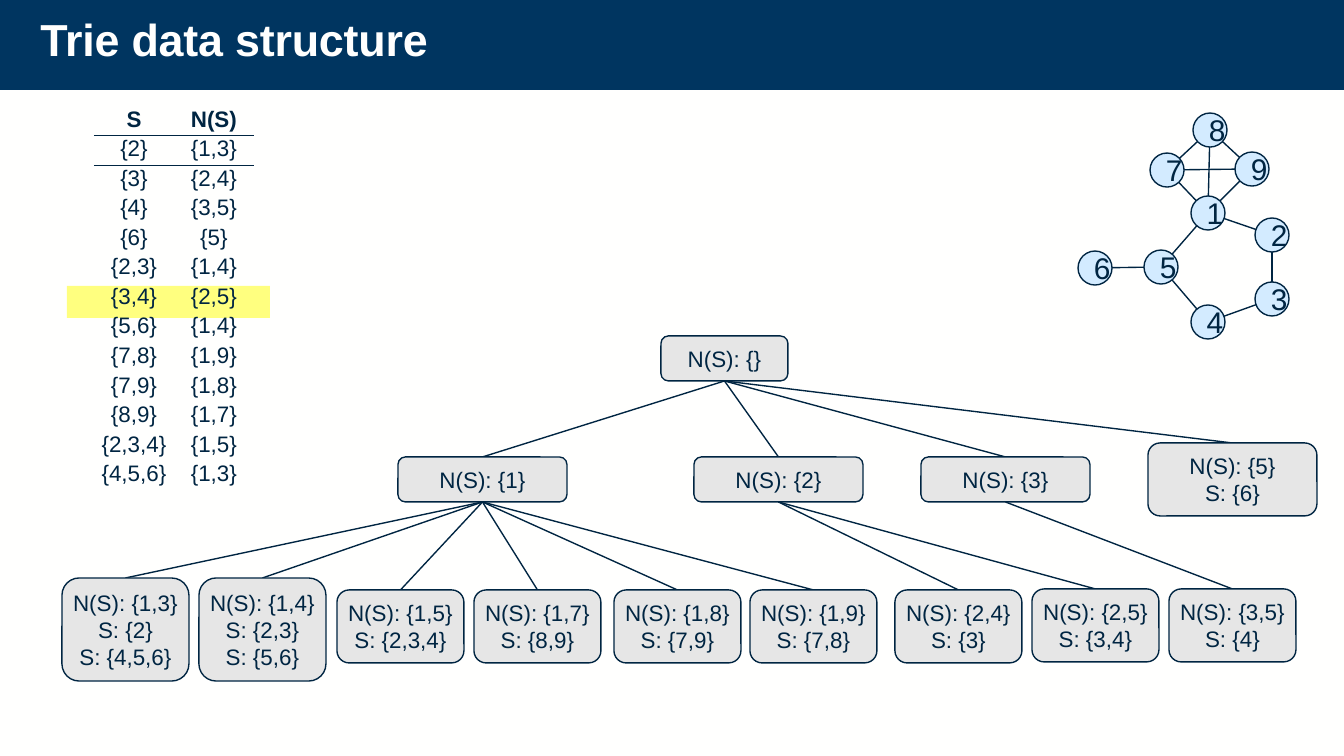
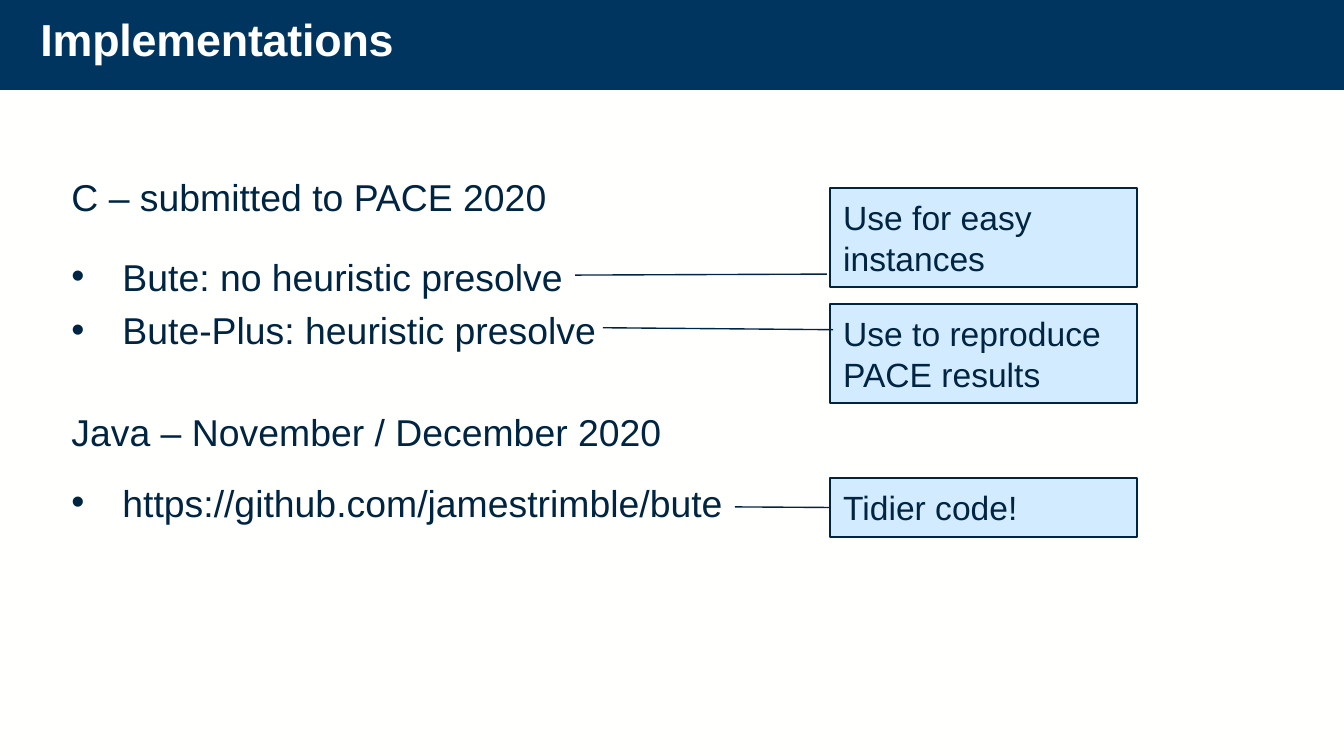
from lxml import etree
from pptx import Presentation
from pptx.dml.color import RGBColor
from pptx.enum.shapes import MSO_CONNECTOR, MSO_SHAPE
from pptx.enum.text import MSO_ANCHOR, MSO_AUTO_SIZE, PP_ALIGN
from pptx.oxml.ns import qn
from pptx.util import Emu, Pt

STRAIGHT = MSO_CONNECTOR.STRAIGHT
RECTANGLE, ROUNDED, OVAL = MSO_SHAPE.RECTANGLE, MSO_SHAPE.ROUNDED_RECTANGLE, MSO_SHAPE.OVAL
CALLOUT = MSO_SHAPE.LINE_CALLOUT_1
TOP, MIDDLE = MSO_ANCHOR.TOP, MSO_ANCHOR.MIDDLE
LEFT, CENTER = PP_ALIGN.LEFT, PP_ALIGN.CENTER
FIXED_SIZE = MSO_AUTO_SIZE.NONE

EMU_PER_PX = 914400 / 134.4
PAGE_WIDTH, PAGE_HEIGHT = 1344, 756
TITLE_ONLY, COMPARISON = 5, 4
NO_STYLE_TABLE = "{2D5ABB26-0587-4C30-8999-92F81FD0307C}"

FONT = "Arial"
INK, PAPER, NAVY = "002542", "FFFFFE", "003560"
PALE_BLUE, GREY, YELLOW = "D3EBFF", "E6E6E6", "FFFF7F"

NEIGHBOURHOODS = [
    ("S", "N(S)"), ("{2}", "{1,3}"), ("{3}", "{2,4}"), ("{4}", "{3,5}"), ("{6}", "{5}"),
    ("{2,3}", "{1,4}"), ("{3,4}", "{2,5}"), ("{5,6}", "{1,4}"), ("{7,8}", "{1,9}"),
    ("{7,9}", "{1,8}"), ("{8,9}", "{1,7}"), ("{2,3,4}", "{1,5}"), ("{4,5,6}", "{1,3}"),
]
RULES = {0: 1, 1: 0.5}  # table row: width in points of the line below it

# Tree node: left, top, width, text lines, children
LEAF, BRANCH = 127, 169
NODE_HEIGHTS = {1: 45, 2: 73, 3: 103}
TRIE = (599, 0, LEAF, ["N(S): {}"], [
    (336, 121, BRANCH, ["N(S): {1}"], [
        (0, 242, LEAF, ["N(S): {1,3}", "S: {2}", "S: {4,5,6}"], []),
        (137, 242, LEAF, ["N(S): {1,4}", "S: {2,3}", "S: {5,6}"], []),
        (275, 254, LEAF, ["N(S): {1,5}", "S: {2,3,4}"], []),
        (412, 254, LEAF, ["N(S): {1,7}", "S: {8,9}"], []),
        (552, 254, LEAF, ["N(S): {1,8}", "S: {7,9}"], []),
        (688, 254, LEAF, ["N(S): {1,9}", "S: {7,8}"], []),
    ]),
    (632, 121, BRANCH, ["N(S): {2}"], [
        (833, 254, LEAF, ["N(S): {2,4}", "S: {3}"], []),
        (970, 253, LEAF, ["N(S): {2,5}", "S: {3,4}"], []),
    ]),
    (859, 121, BRANCH, ["N(S): {3}"], [
        (1107, 253, LEAF, ["N(S): {3,5}", "S: {4}"], []),
    ]),
    (1086, 107, BRANCH, ["N(S): {5}", "S: {6}"], []),
])

VERTEX_SIZE = 34
VERTICES = {
    1: (130, 100), 2: (194, 122), 3: (194, 186), 4: (130, 209), 5: (83, 154),
    6: (17, 155), 7: (89, 57), 8: (132, 17), 9: (174, 56),
}
EDGES = [(1, 9), (1, 7), (1, 8), (1, 5), (8, 9), (5, 6), (8, 7), (1, 2), (2, 3), (3, 4),
         (4, 5), (7, 9)]

# Placeholder number: top, height, line spacing, first-line hang, lines
SECTIONS = {
    1: (0, 59, 1, 0, ["C – submitted to PACE 2020"]),
    2: (71, 117, 1.2, 51, ["Bute: no heuristic presolve", "Bute-Plus: heuristic presolve"]),
    3: (235, 59, 1, 0, ["Java – November / December 2020"]),
    4: (306, 59, 1, 51, ["https://github.com/jamestrimble/bute"]),
}
# Callout: top, height, adjustments of the pointer, text
CALLOUTS = [
    (116, 99, (0.26, 0.01, 0.24, -0.74), "Use to reproduce PACE results"),
    (0, 99, (0.87, -0.01, 0.88, -0.83), "Use for easy instances"),
    (290, 59, (0.5, 0, 0.49, -0.31), "Tidier code!"),
]


def px(length):
    return Emu(round(length * EMU_PER_PX))


def color(hex_string):
    return RGBColor.from_string(hex_string)


def place(shape, left, top, width, height):
    shape.left, shape.top = px(left), px(top)
    shape.width, shape.height = px(width), px(height)


def write(frame, lines, size, align=LEFT, anchor=TOP, ink=INK, bold=False):
    frame.text = "\n".join(lines)
    frame.word_wrap = True
    frame.vertical_anchor = anchor
    for para in frame.paragraphs:
        para.alignment = align
        para.space_before = Pt(0)
        for span in para.runs:
            span.font.name, span.font.size = FONT, Pt(size)
            span.font.bold, span.font.color.rgb = bold, color(ink)


def add_box(shapes, kind, box, fill, outlined=True):
    shape = shapes.add_shape(kind, *map(px, box))
    shape.shadow.inherit = False
    shape.fill.solid()
    shape.fill.fore_color.rgb = color(fill)
    if outlined:
        shape.line.color.rgb = color(INK)
        shape.line.width = Pt(0.75)
    else:
        shape.line.fill.background()
    return shape


def add_line(shapes, start, end):
    line = shapes.add_connector(STRAIGHT, *map(px, (*start, *end)))
    line.line.color.rgb = color(INK)
    line.line.width = Pt(0.75)
    etree.SubElement(line._element.spPr, qn("a:effectLst"))


def add_page(deck, layout, title):
    """Add a slide with the navy band and its title."""
    page = deck.slides.add_slide(deck.slide_layouts[layout])
    band = add_box(page.shapes, RECTANGLE, (0, -13, 1349, 103), NAVY, outlined=False)
    page.shapes._spTree.insert(2, band._element)
    heading = page.shapes.title
    place(heading, 27, 11, 550, 74)
    write(heading.text_frame, [title], 24, ink=PAPER, bold=True)
    heading.text_frame.auto_size = FIXED_SIZE
    para = heading.text_frame.paragraphs[0]
    para.line_spacing = 0.9
    para.runs[0]._r.get_or_add_rPr().set("spc", "-10")
    return page


def rule_below(cell, width):
    line = etree.Element(qn("a:lnB"), w=str(Pt(width)))
    fill = etree.SubElement(line, qn("a:solidFill"))
    etree.SubElement(fill, qn("a:srgbClr"), val=INK)
    cell._tc.get_or_add_tcPr().insert(0, line)


def add_neighbourhood_table(page, box):
    left, top, width, height = box
    add_box(page.shapes, RECTANGLE, (left - 27, top + 180, 203, 32), YELLOW, outlined=False)
    frame = page.shapes.add_table(len(NEIGHBOURHOODS), 2, *map(px, box))
    table = frame.table
    table.first_row = table.horz_banding = False
    table._tbl.tblPr.find(qn("a:tableStyleId")).text = NO_STYLE_TABLE
    for row, texts in enumerate(NEIGHBOURHOODS):
        for column, text in enumerate(texts):
            cell = table.cell(row, column)
            cell.margin_left = cell.margin_right = px(5)
            cell.margin_top = cell.margin_bottom = px(1)
            cell.fill.background()
            write(cell.text_frame, [text], 12, CENTER, bold=row == 0)
            if row in RULES:
                rule_below(cell, RULES[row])


def add_trie(page, origin, node):
    """Draw a node, then its subtrees and the lines down to them."""
    left, top, width, lines, children = node
    x, y = origin[0] + left, origin[1] + top
    height = NODE_HEIGHTS[len(lines)]
    shape = add_box(page.shapes, ROUNDED, (x, y, width, height), GREY)
    frame = shape.text_frame
    frame.margin_left = frame.margin_right = px(5)
    write(frame, lines, 12, CENTER, MIDDLE)
    for child in children:
        child_middle = origin[0] + child[0] + child[2] / 2
        add_line(page.shapes, (x + width / 2, y + height), (child_middle, origin[1] + child[1]))
        add_trie(page, origin, child)


def add_graph(page, origin):
    shapes = page.shapes.add_group_shape().shapes
    centers = {name: (origin[0] + x, origin[1] + y) for name, (x, y) in VERTICES.items()}
    for start, end in EDGES:
        add_line(shapes, centers[start], centers[end])
    for name, (x, y) in centers.items():
        box = (x - VERTEX_SIZE / 2, y - VERTEX_SIZE / 2, VERTEX_SIZE, VERTEX_SIZE)
        vertex = add_box(shapes, OVAL, box, PALE_BLUE)
        write(vertex.text_frame, [str(name)], 16, CENTER, MIDDLE)


def add_sections(page, left, top):
    for number, (offset, height, spacing, hang, lines) in SECTIONS.items():
        body = page.placeholders[number]
        place(body, left, top + offset, 677 if number == 2 else 1142, height)
        write(body.text_frame, lines, 20)
        body.text_frame.auto_size = FIXED_SIZE
        for para in body.text_frame.paragraphs:
            para.line_spacing = spacing
            properties = para._p.get_or_add_pPr()
            properties.set("marL", str(px(hang)))
            properties.set("indent", str(px(-hang)))


def add_callouts(page, left, top):
    for offset, height, adjustments, text in CALLOUTS:
        note = add_box(page.shapes, CALLOUT, (left, top + offset, 307, height), PALE_BLUE)
        for index, value in enumerate(adjustments):
            note.adjustments[index] = value
        write(note.text_frame, [text], 18, anchor=MIDDLE)


def main():
    deck = Presentation()
    deck.slide_width, deck.slide_height = px(PAGE_WIDTH), px(PAGE_HEIGHT)
    backdrop = deck.slide_master.background.fill
    backdrop.solid()
    backdrop.fore_color.rgb = color(PAPER)

    page = add_page(deck, TITLE_ONLY, "Trie data structure")
    add_trie(page, (62, 336), TRIE)
    add_neighbourhood_table(page, (94, 106, 160, 384))
    add_graph(page, (1078, 113))

    page = add_page(deck, COMPARISON, "Implementations")
    add_sections(page, 58, 167)
    add_callouts(page, 830, 188)

    deck.save("out.pptx")


if __name__ == "__main__":
    main()
